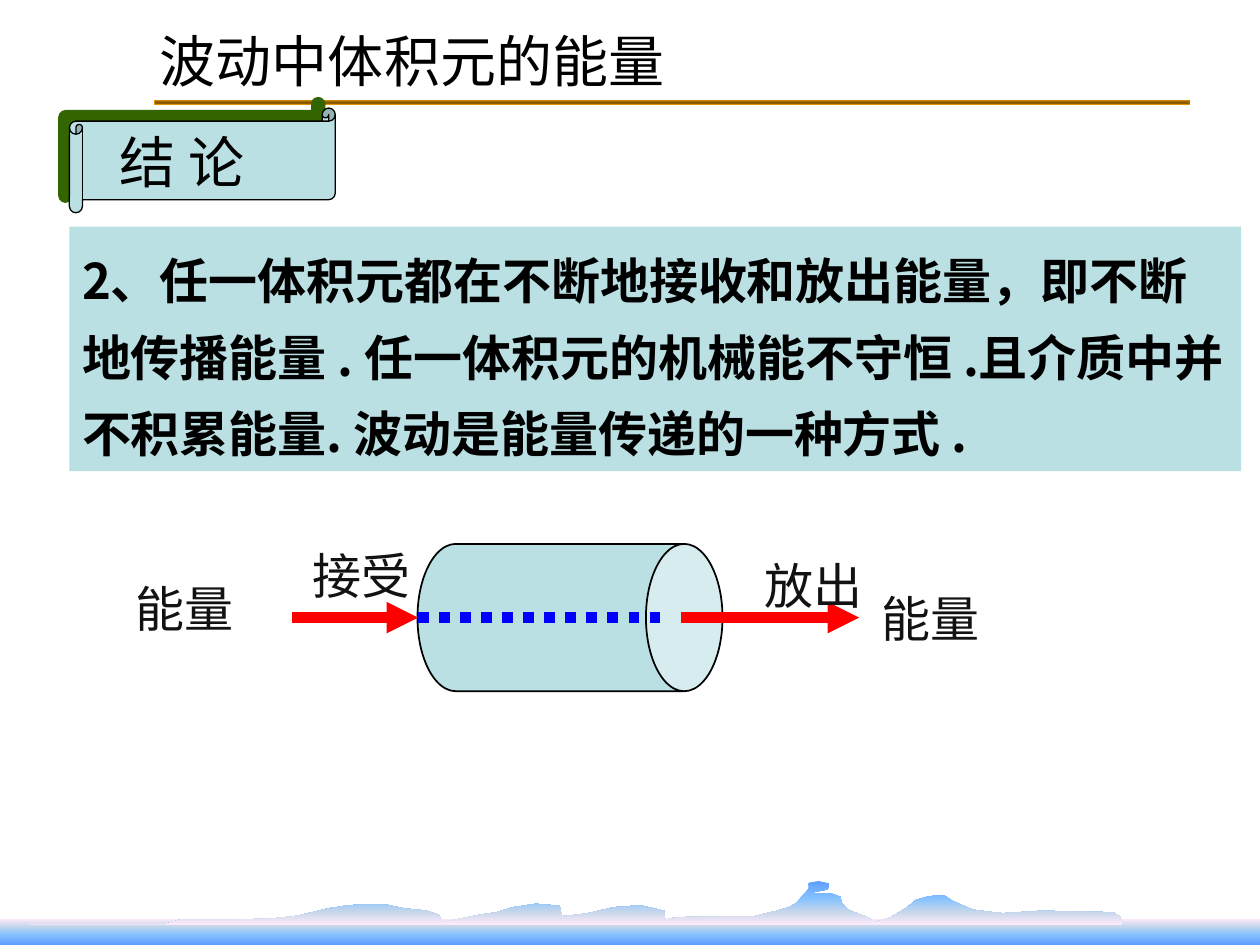
from lxml import etree
from pptx import Presentation
from pptx.dml.color import RGBColor
from pptx.enum.dml import MSO_LINE
from pptx.enum.shapes import MSO_CONNECTOR as CONN, MSO_SHAPE as SHAPE
from pptx.enum.text import MSO_ANCHOR as ANCHOR, PP_ALIGN as ALIGN
from pptx.oxml import parse_xml
from pptx.oxml.ns import nsdecls, qn
from pptx.util import Cm, Pt

# Content
TITLE = "波动中体积元的能量"
HEADING = "结 论"
BODY = ("2、任一体积元都在不断地接收和放出能量，即不断地传播能量 . "
        "任一体积元的机械能不守恒 .且介质中并不积累能量. 波动是能量传递的一种方式 .")
LABELS = [("能量", 2.49, 11.53), ("接受", 6.05, 10.87),
          ("放出", 15.16, 11.07), ("能量", 17.53, 11.73)]
FLOW_Y = 12.45
FLOW = [(5.89, 8.43, "red", True), (8.43, 13.51, "blue", False),
        (13.72, 17.32, "red", True)]  # start, end, colour, arrowhead

# Style
CJK = "Noto Sans CJK SC"
COLORS = {"black": "000000", "label": "121214", "panel": "BBE0E3", "red": "FF0000",
          "blue": "0000FF", "shadow": "336600", "bronze": "825600", "gold": "FFA800"}
SKY = ["FFEBFA", "C4D6EB", "85C2FF", "5E9EFF"]
BAR_STOPS = list(zip((0, 30, 60, 100), SKY))
HILL_STOPS = list(zip((0, 40, 70, 100), reversed(SKY)))
RULE_STOPS = [(at, COLORS["gold" if i % 2 else "bronze"])
              for i, at in enumerate((0, 13, 28, 43, 58, 72, 87, 100))]
DOWN = '<a:lin ang="5400000" scaled="1"/>'
INWARD = ('<a:path path="shape"><a:fillToRect l="50000" t="50000" '
          'r="50000" b="50000"/></a:path>')

# Skyline of the hills, in cm
HILLS = [(0.58, 18.64), (3.3, 18.64), (3.63, 18.54), (4.52, 18.54), (5.44, 18.52),
         (5.94, 18.47), (6.17, 18.42), (6.63, 18.31), (6.96, 18.26), (7.19, 18.24),
         (7.8, 18.24), (8.13, 18.31), (8.61, 18.36), (8.84, 18.44), (8.92, 18.59),
         (9.68, 18.44), (10.01, 18.39), (10.34, 18.29), (10.8, 18.22), (11.28, 18.26),
         (11.33, 18.47), (11.81, 18.42), (12.37, 18.29), (12.9, 18.25), (13.39, 18.36),
         (13.41, 18.54), (13.64, 18.49), (14.96, 18.47), (15.21, 18.47), (15.67, 18.36),
         (15.9, 18.29), (16.05, 18.21), (16.31, 17.91), (16.3, 17.8), (16.5, 17.76),
         (16.71, 17.81), (16.69, 17.93), (16.28, 18.01), (16.75, 18.01), (16.94, 18.08),
         (16.97, 18.21), (17.09, 18.34), (17.48, 18.49), (17.65, 18.59), (17.96, 18.49),
         (18.26, 18.31), (18.47, 18.14), (18.69, 18.08), (18.82, 18.06), (19.05, 18.06),
         (19.2, 18.16), (19.61, 18.34), (20.2, 18.41), (21, 18.36), (22.43, 18.39),
         (22.58, 18.47), (22.63, 18.64)]


def rgb(name):
    return RGBColor.from_string(COLORS[name])


def place(sp, x, y, w, h):
    sp.left, sp.top, sp.width, sp.height = Cm(x), Cm(y), Cm(w), Cm(h)


def add_shape(slide, kind, x, y, w, h, line=None):
    sp = slide.shapes.add_shape(kind, Cm(x), Cm(y), Cm(w), Cm(h))
    sp.shadow.inherit = False
    sp.fill.solid()
    sp.fill.fore_color.rgb = rgb("panel")
    if line:
        sp.line.color.rgb = rgb("black")
        sp.line.width = Pt(line)
    return sp


def fill_gradient(sp, stops, direction):
    sp.shadow.inherit = False
    sp.line.fill.background()
    sp.fill.background()
    gs = "".join(f'<a:gs pos="{at * 1000}"><a:srgbClr val="{c}"/></a:gs>' for at, c in stops)
    grad = parse_xml(f'<a:gradFill {nsdecls("a")} rotWithShape="1">'
                     f'<a:gsLst>{gs}</a:gsLst>{direction}</a:gradFill>')
    spPr = sp._element.spPr
    spPr.replace(spPr.find(qn("a:noFill")), grad)


def write(sp, text, size, font, color="black", bold=False, wrap=True):
    tf = sp.text_frame
    tf.text = text
    tf.word_wrap = wrap
    tf.vertical_anchor = ANCHOR.TOP
    p = tf.paragraphs[0]
    p.alignment = ALIGN.LEFT
    p.space_before = Pt(0)
    f = p.runs[0].font
    f.size, f.name, f.bold = Pt(size), font, bold
    f.color.rgb = rgb(color)
    if font == CJK:
        ea = etree.SubElement(p.runs[0]._r.get_or_add_rPr(), qn("a:ea"))
        ea.set("typeface", font)
    return p


def add_text(slide, x, y, w, h, *args, **kwargs):
    write(slide.shapes.add_textbox(Cm(x), Cm(y), Cm(w), Cm(h)), *args, **kwargs)


def add_flow(slide, x1, x2, color, arrow):
    cn = slide.shapes.add_connector(CONN.STRAIGHT, Cm(x1), Cm(FLOW_Y), Cm(x2), Cm(FLOW_Y))
    cn.line.color.rgb = rgb(color)
    cn.line.width = Pt(6)
    if arrow:
        etree.SubElement(cn.line._get_or_add_ln(), qn("a:tailEnd")).set("type", "triangle")
    else:
        cn.line.dash_style = MSO_LINE.ROUND_DOT
    etree.SubElement(cn._element.spPr, qn("a:effectLst"))


def main():
    prs = Presentation()
    prs.slide_width, prs.slide_height = Cm(25.4), Cm(19.05)
    slide = prs.slides.add_slide(prs.slide_layouts[1])
    title, body = slide.placeholders

    # Title and the rule below it
    place(title, 2.97, 0.41, 10.77, 1.63)
    write(title, TITLE, 32, CJK, wrap=False)
    fill_gradient(add_shape(slide, SHAPE.RECTANGLE, 3.1, 2.01, 20.9, 0.1), RULE_STOPS, INWARD)

    # Bottom bar and hills
    fill_gradient(add_shape(slide, SHAPE.RECTANGLE, 0, 18.52, 25.4, 0.53), BAR_STOPS, DOWN)
    points = [(Cm(x), Cm(y)) for x, y in HILLS]
    builder = slide.shapes.build_freeform(*points[0])
    builder.add_line_segments(points[1:], close=True)
    fill_gradient(builder.convert_to_shape(), HILL_STOPS, DOWN)

    # Conclusion
    place(body, 1.4, 4.57, 23.62, 4.93)
    body.fill.solid()
    body.fill.fore_color.rgb = rgb("panel")
    p = write(body, BODY, 28, CJK, bold=True)
    p.line_spacing = 1.3
    pPr = p._p.get_or_add_pPr()
    pPr.set("marL", "0")
    pPr.set("indent", "0")
    etree.SubElement(pPr, qn("a:buNone"))

    # Heading scroll with its shadow
    scroll = add_shape(slide, SHAPE.HORIZONTAL_SCROLL, 1.4, 2.18, 5.36, 2.11, line=0.75)
    scroll._element.spPr.find(qn("a:effectLst")).append(parse_xml(
        f'<a:outerShdw {nsdecls("a")} dist="{Pt(8.5)}" dir="13500000" algn="ctr" '
        f'rotWithShape="0"><a:srgbClr val="{COLORS["shadow"]}"/></a:outerShdw>'))
    add_text(slide, 2.16, 2.44, 4.6, 1.63, HEADING, 32, CJK)

    # Volume element with the energy passing through
    w, h, center = 2.97, 6.15, 11.49
    can = add_shape(slide, SHAPE.CAN, center - w / 2, FLOW_Y - h / 2, w, h, line=1)
    can.adjustments[0] = 0.52
    can.rotation = 90
    for flow in FLOW:
        add_flow(slide, *flow)
    for text, x, y in LABELS:
        add_text(slide, x, y, 2.49, 1.45, text, 28, "Arial", "label", wrap=False)

    prs.save("out.pptx")


if __name__ == "__main__":
    main()
